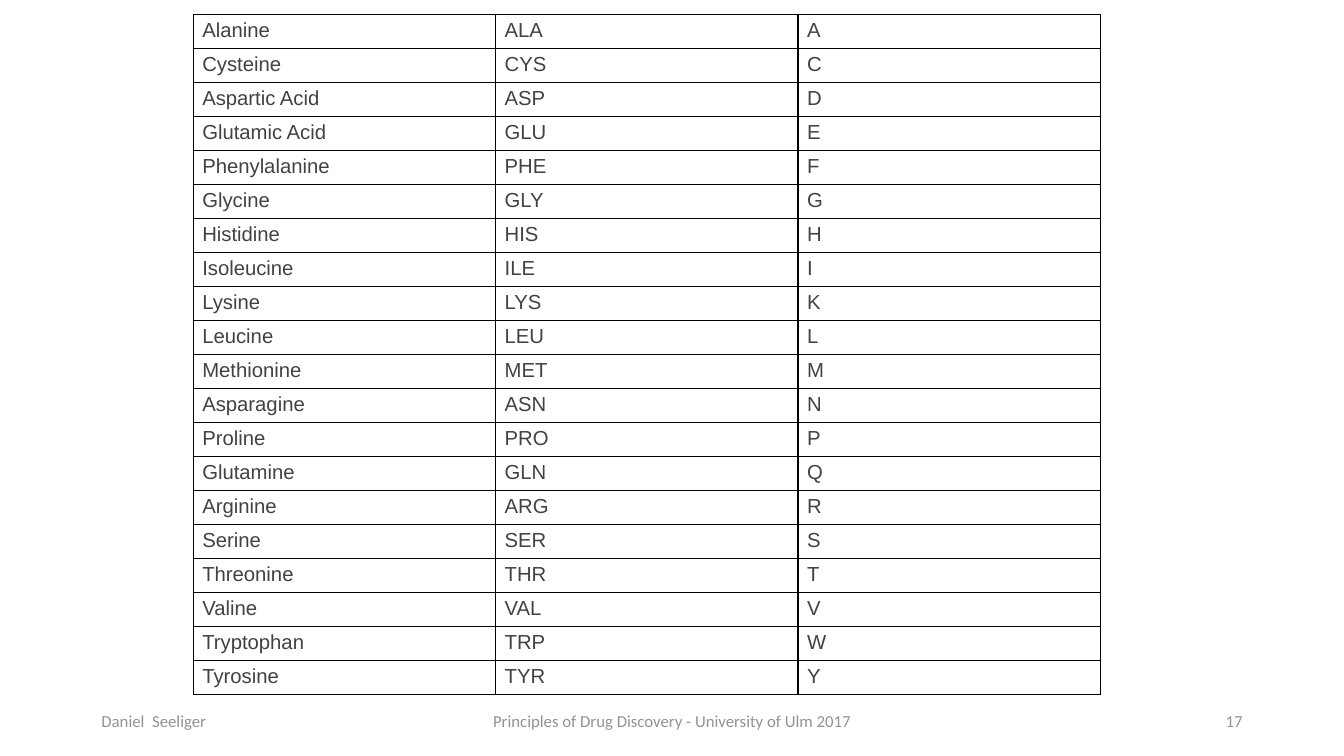
from lxml.etree import SubElement
from pptx import Presentation
from pptx.dml.color import RGBColor
from pptx.enum.text import MSO_ANCHOR, PP_ALIGN
from pptx.oxml.ns import qn
from pptx.util import Inches, Pt

SLIDE_WIDTH = Inches(14.7)
SLIDE_HEIGHT = Inches(8.27)
COLUMN = SLIDE_WIDTH / 160

TABLE_LEFT = 23
TABLE_COLUMN_SPAN = 36
TABLE_TOP = Inches(0.16)
FIRST_ROW_HEIGHT = Inches(0.35)
TABLE_HEIGHT = Inches(7.42)

FOOTER_TOP = Inches(7.66)
FOOTER_HEIGHT = Inches(0.44)

TEXT_COLOR = RGBColor(0x42, 0x42, 0x42)
FOOTER_COLOR = RGBColor(0x93, 0x93, 0x93)
BORDER_COLOR = RGBColor(0x00, 0x00, 0x00)

AMINO_ACIDS = [
    ("Alanine", "ALA", "A"),
    ("Cysteine", "CYS", "C"),
    ("Aspartic Acid", "ASP", "D"),
    ("Glutamic Acid", "GLU", "E"),
    ("Phenylalanine", "PHE", "F"),
    ("Glycine", "GLY", "G"),
    ("Histidine", "HIS", "H"),
    ("Isoleucine", "ILE", "I"),
    ("Lysine", "LYS", "K"),
    ("Leucine", "LEU", "L"),
    ("Methionine", "MET", "M"),
    ("Asparagine", "ASN", "N"),
    ("Proline", "PRO", "P"),
    ("Glutamine", "GLN", "Q"),
    ("Arginine", "ARG", "R"),
    ("Serine", "SER", "S"),
    ("Threonine", "THR", "T"),
    ("Valine", "VAL", "V"),
    ("Tryptophan", "TRP", "W"),
    ("Tyrosine", "TYR", "Y"),
]

FOOTERS = [
    (11, 36, "Daniel  Seeliger", PP_ALIGN.LEFT),
    (53, 54, "Principles of Drug Discovery - University of Ulm 2017", PP_ALIGN.CENTER),
    (113, 36, "17", PP_ALIGN.RIGHT),
]


def columns(count):
    return round(count * COLUMN)


def add_span(para, text, font_name, size, color):
    span = para.add_run()
    span.text = text
    span.font.name = font_name
    span.font.size = Pt(size)
    span.font.color.rgb = color


def add_borders(cell):
    properties = cell._tc.get_or_add_tcPr()
    for side in ("a:lnL", "a:lnR", "a:lnT", "a:lnB"):
        line = SubElement(properties, qn(side), w=str(Pt(1)))
        fill = SubElement(line, qn("a:solidFill"))
        SubElement(fill, qn("a:srgbClr"), val=str(BORDER_COLOR))


def fill_cell(cell, text):
    add_borders(cell)
    cell.fill.background()
    add_span(cell.text_frame.paragraphs[0], text, "Arial", 16, TEXT_COLOR)


def add_amino_acid_table(page):
    row_count, column_count = len(AMINO_ACIDS), len(AMINO_ACIDS[0])
    table = page.shapes.add_table(
        row_count, column_count, columns(TABLE_LEFT), TABLE_TOP,
        columns(TABLE_COLUMN_SPAN * column_count), TABLE_HEIGHT,
    ).table
    table.first_row = False
    table.horz_banding = False
    for row in table.rows:
        row.height = round((TABLE_HEIGHT - FIRST_ROW_HEIGHT) / (row_count - 1))
    table.rows[0].height = FIRST_ROW_HEIGHT
    for row, amino_acid in zip(table.rows, AMINO_ACIDS):
        for cell, text in zip(row.cells, amino_acid):
            fill_cell(cell, text)


def add_footer(page, left, span_columns, text, alignment):
    box = page.shapes.add_textbox(
        columns(left), FOOTER_TOP, columns(span_columns), FOOTER_HEIGHT
    )
    frame = box.text_frame
    frame.word_wrap = True
    frame.vertical_anchor = MSO_ANCHOR.MIDDLE
    para = frame.paragraphs[0]
    para.alignment = alignment
    add_span(para, text, "Calibri", 13.2, FOOTER_COLOR)


def main():
    deck = Presentation()
    deck.slide_width = SLIDE_WIDTH
    deck.slide_height = SLIDE_HEIGHT
    page = deck.slides.add_slide(deck.slide_layouts[6])
    for footer in FOOTERS:
        add_footer(page, *footer)
    add_amino_acid_table(page)
    deck.save("out.pptx")


if __name__ == "__main__":
    main()
